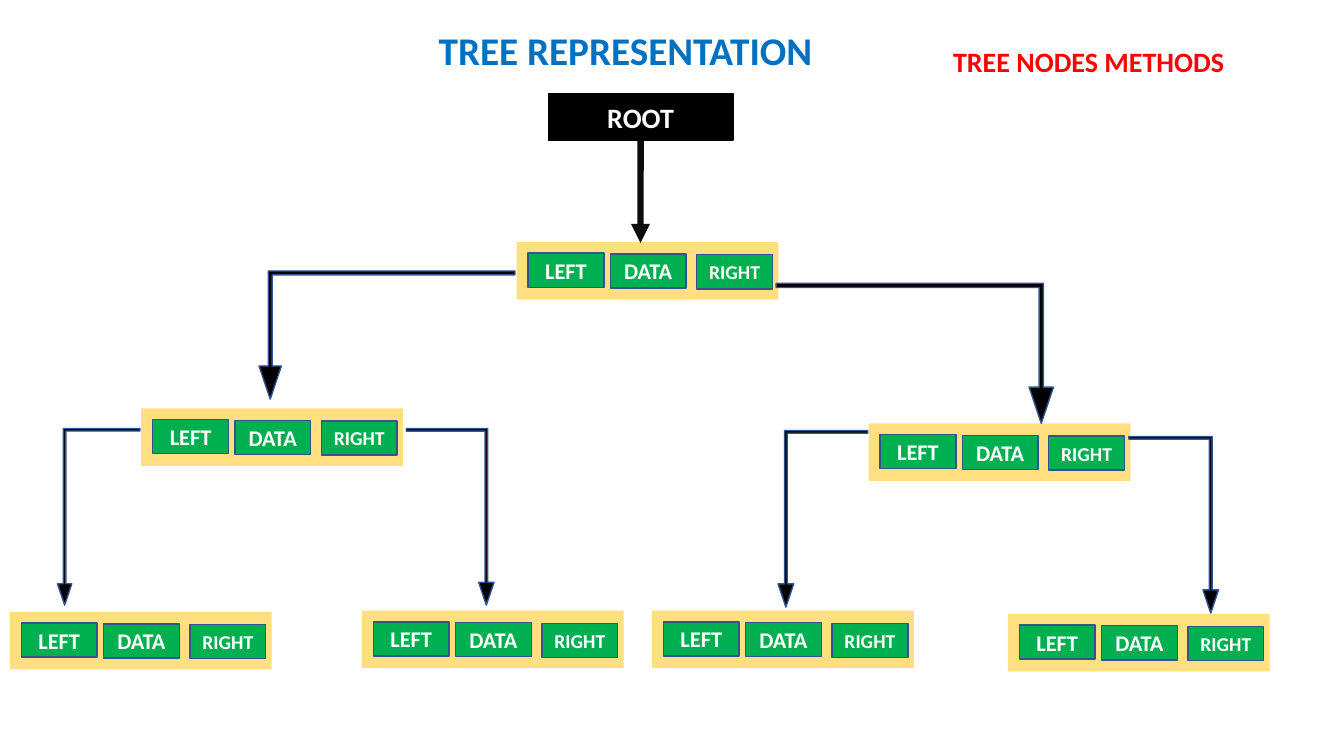
from lxml.etree import SubElement
from pptx import Presentation
from pptx.dml.color import RGBColor
from pptx.enum.shapes import MSO_CONNECTOR, MSO_SHAPE
from pptx.enum.text import MSO_ANCHOR, PP_ALIGN
from pptx.oxml.ns import qn
from pptx.util import Cm, Pt


def put_text(sp, text, size, color="FFFFFF", align=PP_ALIGN.CENTER):
    tf = sp.text_frame
    tf.word_wrap = True
    tf.vertical_anchor = MSO_ANCHOR.MIDDLE
    p = tf.paragraphs[0]
    p.alignment = align
    r = p.add_run()
    r.text = text
    r.font.name = "Calibri"
    r.font.size = Pt(size)
    r.font.bold = True
    r.font.color.rgb = RGBColor.from_string(color)


def add_block(shapes, kind, box, fill, line=None):
    """Add a flat preset shape; box is left, top, width, height in cm."""
    sp = shapes.add_shape(kind, *map(Cm, box))
    sp.shadow.inherit = False
    sp.fill.solid()
    sp.fill.fore_color.rgb = RGBColor.from_string(fill)
    if line:
        sp.line.color.rgb = RGBColor.from_string(line)
        sp.line.width = Pt(1)
    else:
        sp.line.fill.background()
    return sp


prs = Presentation()
prs.slide_width, prs.slide_height = Cm(33.87), Cm(19.05)
s = prs.slides.add_slide(prs.slide_layouts[5])

title = s.shapes.title
title.left, title.top, title.width, title.height = Cm(10.8), Cm(0.53), Cm(10.84), Cm(1.45)
put_text(title, "TREE REPRESENTATION", 28, "0070C0", PP_ALIGN.LEFT)

heading = s.shapes.add_textbox(Cm(23.77), Cm(0.99), Cm(8.26), Cm(1.12))
put_text(heading, "TREE NODES METHODS", 20, "FF0000", PP_ALIGN.LEFT)

# Tree nodes, top level first: left, top
nodes = [(13.02, 6.1),
         (3.56, 10.29), (21.89, 10.67),
         (0.25, 15.42), (9.12, 15.39), (16.43, 15.39), (25.4, 15.47)]
# Fields of a node: text, size, offset from the node's corner
fields = [("LEFT", 16, 0.29, 0.28), ("DATA", 16, 2.36, 0.3), ("RIGHT", 14, 4.54, 0.32)]

for x, y in nodes:
    node = s.shapes.add_group_shape()
    frame = add_block(node.shapes, MSO_SHAPE.RECTANGLE, (x, y, 6.6, 1.45), "FFC000")
    color = frame.fill._xPr.find(qn("a:solidFill"))[0]
    SubElement(color, qn("a:alpha"), val="50000")
    for text, size, dx, dy in fields:
        sp = add_block(node.shapes, MSO_SHAPE.RECTANGLE,
                       (x + dx, y + dy, 1.91, 0.86), "00B050", "325491")
        put_text(sp, text, size)

root = add_block(s.shapes, MSO_SHAPE.RECTANGLE, (13.82, 2.36, 4.65, 1.17), "000000", "000000")
put_text(root, "ROOT", 20)

link = s.shapes.add_connector(MSO_CONNECTOR.STRAIGHT, Cm(16.14), Cm(3.53), Cm(16.14), Cm(6.12))
link.begin_connect(root, 2)
link.line.color.rgb = RGBColor.from_string("0D0D0D")
link.line.width = Pt(4.5)
SubElement(link.line._get_or_add_ln(), qn("a:tailEnd"), type="triangle")
SubElement(link._element.spPr, qn("a:effectLst"))

# Arrows to the children: left, top, width, height, points to the left child
arrows = [(6.53, 6.83, 6.45, 3.23, True), (19.56, 7.14, 6.99, 3.53, False),
          (1.45, 10.8, 2.08, 4.45, True), (10.24, 10.8, 2.21, 4.45, False),
          (19.61, 10.85, 2.26, 4.45, True), (28.45, 11, 2.26, 4.45, False)]
for *box, to_left in arrows:
    arrow = add_block(s.shapes, MSO_SHAPE.BENT_UP_ARROW, box, "000000", "325491")
    for i, value in enumerate((0.03, 0.087, 0.259)):
        arrow.adjustments[i] = value
    xfrm = arrow._element.spPr.find(qn("a:xfrm"))
    xfrm.set("flipV", "1")
    if to_left:
        xfrm.set("flipH", "1")

prs.save("out.pptx")
